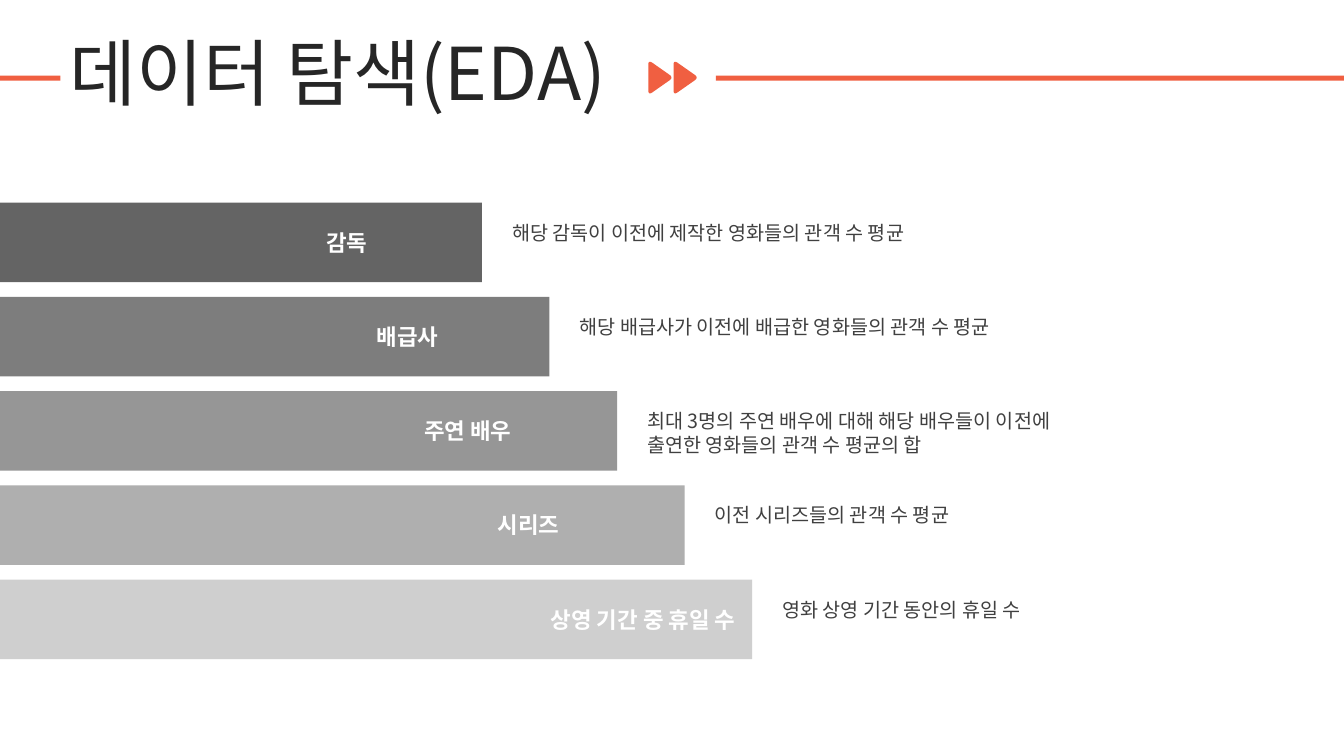
from lxml import etree
from pptx import Presentation
from pptx.dml.color import RGBColor
from pptx.enum.shapes import MSO_SHAPE
from pptx.enum.text import MSO_ANCHOR, PP_ALIGN
from pptx.oxml.ns import qn
from pptx.util import Emu, Pt

RECT = MSO_SHAPE.RECTANGLE
TOP, MIDDLE = MSO_ANCHOR.TOP, MSO_ANCHOR.MIDDLE
LEFT, CENTER = PP_ALIGN.LEFT, PP_ALIGN.CENTER

ORANGE = RGBColor(0xF0, 0x5F, 0x41)
INK = RGBColor(0x26, 0x26, 0x26)
GRAY = RGBColor(0x40, 0x40, 0x40)
WHITE = RGBColor(0xFF, 0xFF, 0xFF)
FACE = "Noto Sans CJK KR"

# Content: label, label centre, label width, bar shade, note, note height
TITLE = "데이터 탐색(EDA)"
ROWS = [
    ("감독", 344, 132, RGBColor(0x64, 0x64, 0x64),
     "해당 감독이 이전에 제작한 영화들의 관객 수 평균", 34),
    ("배급사", 404, 132, RGBColor(0x7D, 0x7D, 0x7D),
     "해당 배급사가 이전에 배급한 영화들의 관객 수 평균", 34),
    ("주연 배우", 464, 132, RGBColor(0x96, 0x96, 0x96),
     "최대 3명의 주연 배우에 대해 해당 배우들이 이전에 출연한 영화들의 관객 수 평균의 합", 57),
    ("시리즈", 524, 132, RGBColor(0xAF, 0xAF, 0xAF),
     "이전 시리즈들의 관객 수 평균", 34),
    ("상영 기간 중 휴일 수", 638, 250, RGBColor(0xCF, 0xCF, 0xCF),
     "영화 상영 기간 동안의 휴일 수", 34),
]

# Text formats
HEAD = {"size": Pt(52), "color": INK, "bold": False}
NAME = {"size": Pt(16), "color": WHITE, "bold": True}
NOTE = {"size": Pt(14), "color": GRAY, "bold": False}

# Layout in px, 100 to the inch
PX = 9144
WIDE, HIGH = 1333, 750
RULES = [(0, 60), (710, WIDE - 710)]
RULE_Y, RULE_H = 75, 5
ARROWS = [643, 668]
ARROW_W, ARROW_H, ARROW_MID, CUT = 25, 35, 77, 5
ROW_Y, PITCH = 201, 93.5
BAR_W, STEP, BAR_H = 478, 67, 79
NOTE_GAP, NOTE_DROP, NOTE_W = 20, 13, 472
NAME_DROP, NAME_H = 21, 37


def px(n):
    return Emu(round(n * PX))


def paint(shape, color):
    shape.shadow.inherit = False
    shape.fill.solid()
    shape.fill.fore_color.rgb = color
    shape.line.fill.background()


def add_bar(x, y, w, h, color):
    paint(slide.shapes.add_shape(RECT, px(x), px(y), px(w), px(h)), color)


def add_text(text, x, y, w, h, form, align=LEFT, anchor=TOP):
    box = slide.shapes.add_textbox(px(x), px(y), px(w), px(h))
    frame = box.text_frame
    frame.word_wrap = True
    frame.vertical_anchor = anchor
    para = frame.paragraphs[0]
    para.alignment = align
    run = para.add_run()
    run.text = text
    run.font.name = FACE
    for key, value in form.items():
        if key == "color":
            run.font.color.rgb = value
        else:
            setattr(run.font, key, value)
    # Korean glyphs take the East Asian face
    east = etree.SubElement(run._r.get_or_add_rPr(), qn("a:ea"))
    east.set("typeface", FACE)
    return para


def toward(a, b, part):
    return tuple(p + (q - p) * part for p, q in zip(a, b))


def add_arrow(x):
    """Draw a triangle pointing right, with each corner rounded."""
    half = ARROW_H / 2
    tips = [(x, ARROW_MID - half), (x + ARROW_W, ARROW_MID), (x, ARROW_MID + half)]
    points = []
    for i, tip in enumerate(tips):
        start, end = (toward(tip, other, CUT / math_len(tip, other))
                      for other in (tips[i - 1], tips[(i + 1) % 3]))
        for k in range(7):
            t = k / 6
            points.append(toward(toward(start, tip, t), toward(tip, end, t), t))
    points = [(px(a), px(b)) for a, b in points]
    build = slide.shapes.build_freeform(*points[0])
    build.add_line_segments(points[1:], close=True)
    paint(build.convert_to_shape(), ORANGE)


def math_len(a, b):
    return sum((p - q) ** 2 for p, q in zip(a, b)) ** 0.5


deck = Presentation()
deck.slide_width, deck.slide_height = px(WIDE), px(HIGH)
slide = deck.slides.add_slide(deck.slide_layouts[6])

# Heading with rules and arrows
for x in ARROWS:
    add_arrow(x)
for x, w in RULES:
    add_bar(x, RULE_Y, w, RULE_H, ORANGE)
head = add_text(TITLE, 59, 37, 1242, 79, HEAD, anchor=MIDDLE)
head.line_spacing = 0.9
head.space_before = Pt(10)

# Stepped bars with labels and notes
for i, (name, mid, name_w, shade, note, note_h) in enumerate(ROWS):
    y = ROW_Y + i * PITCH
    w = BAR_W + i * STEP
    add_bar(0, y, w, BAR_H, shade)
    add_text(note, w + NOTE_GAP, y + NOTE_DROP, NOTE_W, note_h, NOTE)
    add_text(name, mid - name_w / 2, y + NAME_DROP, name_w, NAME_H, NAME, CENTER)

deck.save("out.pptx")
